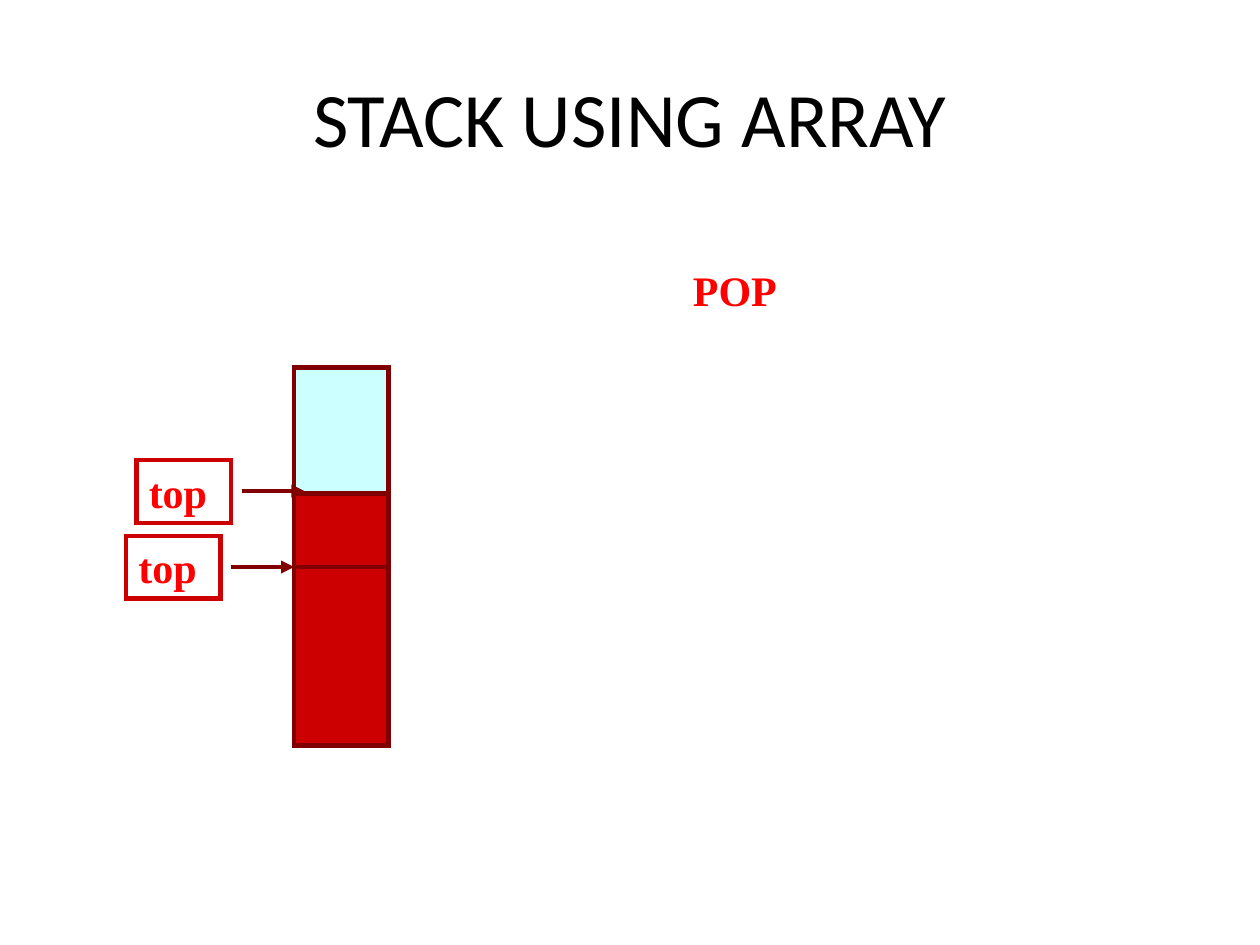
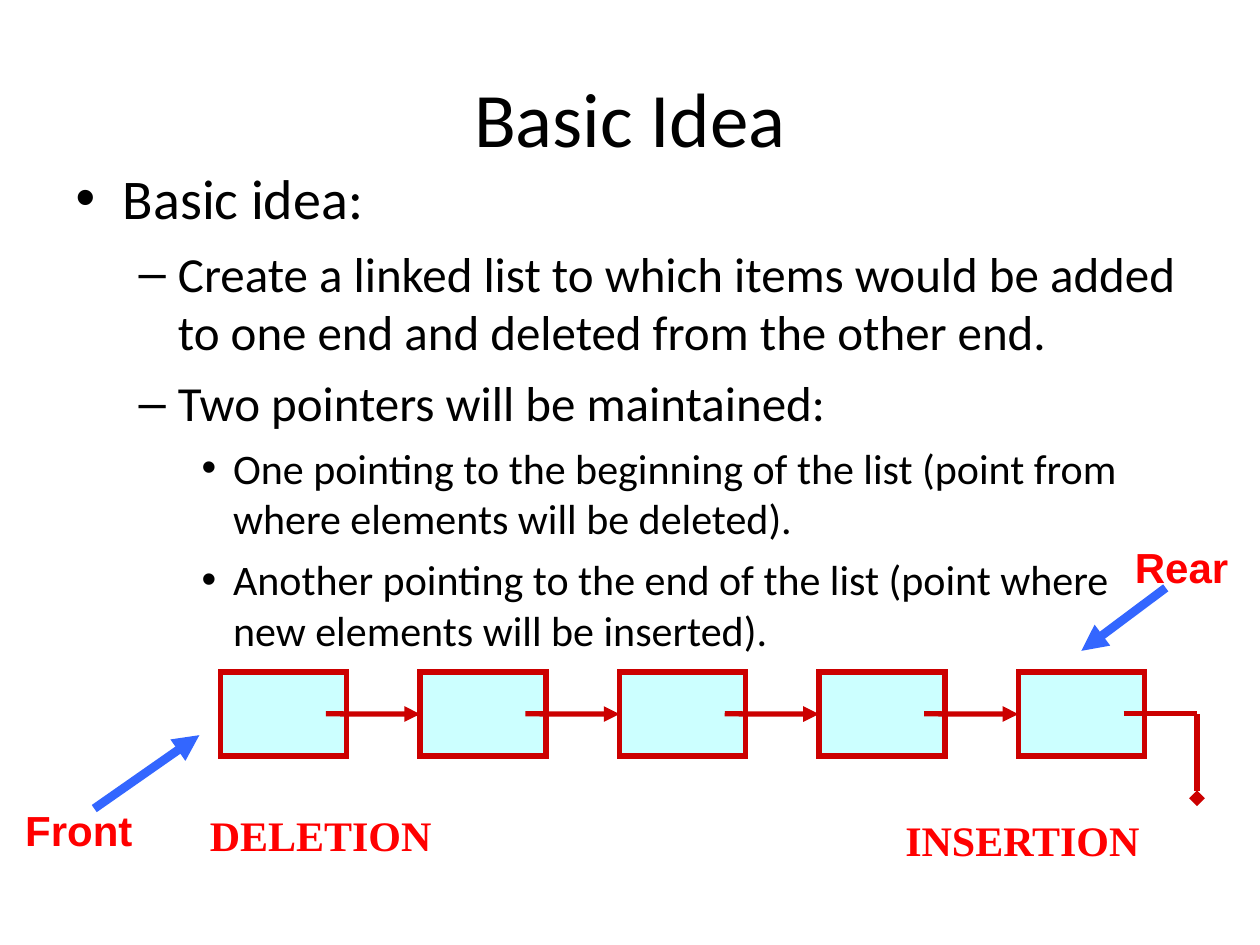
import dataclasses

import lxml.etree
import pptx
import pptx.dml.color
import pptx.enum.shapes
import pptx.enum.text
import pptx.oxml.ns
import pptx.util

Cm = pptx.util.Cm
Pt = pptx.util.Pt
Align = pptx.enum.text.PP_ALIGN
Fit = pptx.enum.text.MSO_AUTO_SIZE
Anchor = pptx.enum.text.MSO_ANCHOR


@dataclasses.dataclass(frozen=True)
class Theme:
    ink: str = "000000"
    label: str = "FF0000"
    red: str = "CC0000"
    dark: str = "800000"
    pale: str = "CCFFFF"
    blue: str = "3366FF"
    sans: str = "Calibri"
    serif: str = "Times New Roman"
    plain: str = "Arial"
    title: int = 44
    note: int = 24
    sizes: tuple = (32, 28, 24)
    gaps: tuple = (8, 7, 6)
    thin: float = 2.5
    mid: float = 3
    thick: float = 5


THEME = Theme()


def tint(code):
    return pptx.dml.color.RGBColor.from_string(code)


def style(font, face, size, color, bold=False):
    font.name = face
    font.size = Pt(size)
    font.color.rgb = tint(color)
    font.bold = bold


def place(shape, left, top, width, height):
    shape.left, shape.top = Cm(left), Cm(top)
    shape.width, shape.height = Cm(width), Cm(height)


def add_tag(parent, name, **rest):
    lxml.etree.SubElement(parent, pptx.oxml.ns.qn(name), **rest)


def ink_line(shape, color, weight):
    shape.line.color.rgb = tint(color)
    shape.line.width = Pt(weight)
    stroke = shape.line._get_or_add_ln()
    add_tag(stroke, "a:miter", lim="800000")
    return stroke


def add_slide(deck, layout, title):
    slide = deck.slides.add_slide(deck.slide_layouts[layout])
    head = slide.shapes.title
    place(head, 1.27, 0.76, 22.86, 3.18)
    frame = head.text_frame
    frame.text = title
    frame.vertical_anchor = Anchor.MIDDLE
    frame.auto_size = Fit.NONE
    line = frame.paragraphs[0]
    line.alignment = Align.CENTER
    style(line.font, THEME.sans, THEME.title, THEME.ink)
    return slide


def add_list(slide, items):
    body = slide.placeholders[1]
    place(body, 1.27, 3.17, 22.86, 12.57)
    frame = body.text_frame
    frame.text = "\n".join(text for level, text in items)
    frame.auto_size = Fit.NONE
    for line, (level, text) in zip(frame.paragraphs, items):
        line.level = level
        line.space_before = Pt(THEME.gaps[level])
        style(line.font, THEME.sans, THEME.sizes[level], THEME.ink)


def add_box(slide, left, top, width, height, fill, edge, weight):
    kind = pptx.enum.shapes.MSO_SHAPE.RECTANGLE
    box = slide.shapes.add_shape(kind, Cm(left), Cm(top), Cm(width), Cm(height))
    box.shadow.inherit = False
    if fill:
        box.fill.solid()
        box.fill.fore_color.rgb = tint(fill)
    else:
        box.fill.background()
    ink_line(box, edge, weight)
    return box


def write(shape, text, face, align=Align.LEFT, wrap=True):
    frame = shape.text_frame
    frame.text = text
    frame.word_wrap = wrap
    frame.auto_size = Fit.SHAPE_TO_FIT_TEXT
    frame.vertical_anchor = Anchor.TOP
    line = frame.paragraphs[0]
    line.alignment = align
    style(line.font, face, THEME.note, THEME.label, True)


def add_label(slide, text, left, top, width, face=THEME.serif, **rest):
    label = slide.shapes.add_textbox(Cm(left), Cm(top), Cm(width), Cm(1.27))
    write(label, text, face, **rest)


def add_line(slide, start, end, color, weight, tip=None):
    kind = pptx.enum.shapes.MSO_CONNECTOR.STRAIGHT
    line = slide.shapes.add_connector(kind, *map(Cm, start + end))
    stroke = ink_line(line, color, weight)
    if tip:
        add_tag(stroke, "a:tailEnd", type=tip)
    add_tag(line._element.spPr, "a:effectLst")
    return line


def add_cell(slide, top, height, fill):
    add_box(slide, 5.93, top, 1.9, height, fill, THEME.dark, THEME.thin)


def add_top(slide, left, top):
    box = add_box(slide, left, top, 1.91, 1.27, None, THEME.red, THEME.thin)
    write(box, "top", THEME.serif)
    level = top + 0.63
    add_line(slide, (left + 2.12, level), (left + 3.39, level),
             THEME.dark, THEME.thin, "triangle")


def add_end(slide, text, left, top, start, end):
    add_label(slide, text, left, top, 3.18, THEME.plain, align=Align.CENTER)
    add_line(slide, start, end, THEME.blue, THEME.thick, "triangle")


def add_chain(slide, count):
    left, top, step, level = 4.45, 13.55, 4.02, 14.39
    spots = [left + step * i for i in range(count)]
    nodes = [add_box(slide, x, top, 2.54, 1.69, THEME.pale, THEME.red, THEME.mid)
             for x in spots]
    for x, node in zip(spots, nodes[1:]):
        link = add_line(slide, (x + 2.12, level), (x + step, level),
                        THEME.red, THEME.mid, "triangle")
        link.end_connect(node, 1)
    turn = (24.13, level)
    add_line(slide, (spots[-1] + 2.12, level), turn, THEME.red, THEME.mid)
    add_line(slide, turn, (24.13, 16.09), THEME.red, THEME.mid, "diamond")


def draw_stack(deck):
    slide = add_slide(deck, 5, "STACK USING ARRAY")
    add_cell(slide, 11.43, 3.6, THEME.red)
    add_cell(slide, 7.41, 4.02, THEME.pale)
    add_top(slide, 2.54, 10.8)
    add_top(slide, 2.75, 9.27)
    add_cell(slide, 9.95, 1.48, THEME.red)
    add_label(slide, "POP", 13.72, 5.21, 2.25, wrap=False)


def draw_queue(deck):
    slide = add_slide(deck, 1, "Basic Idea")
    add_list(slide, [
        (0, "Basic idea:"),
        (1, "Create a linked list to which items would be added to one end "
            "and deleted from the other end."),
        (1, "Two pointers will be maintained:"),
        (2, "One pointing to the beginning of the list (point from where "
            "elements will be deleted)."),
        (2, "Another pointing to the end of the list (point where new "
            "elements will be inserted)."),
    ])
    add_chain(slide, 5)
    add_end(slide, "Front", 0, 16.09, (1.9, 16.3), (4.02, 14.82))
    add_end(slide, "Rear", 22.23, 10.8, (23.5, 11.85), (21.8, 13.12))
    add_label(slide, "DELETION", 3.98, 16.2, 5, wrap=False)
    add_label(slide, "INSERTION", 18, 16.3, 5.28, wrap=False)


def main():
    deck = pptx.Presentation()
    deck.slide_width, deck.slide_height = Cm(25.4), Cm(19.05)
    draw_stack(deck)
    draw_queue(deck)
    deck.save("out.pptx")


if __name__ == "__main__":
    main()
